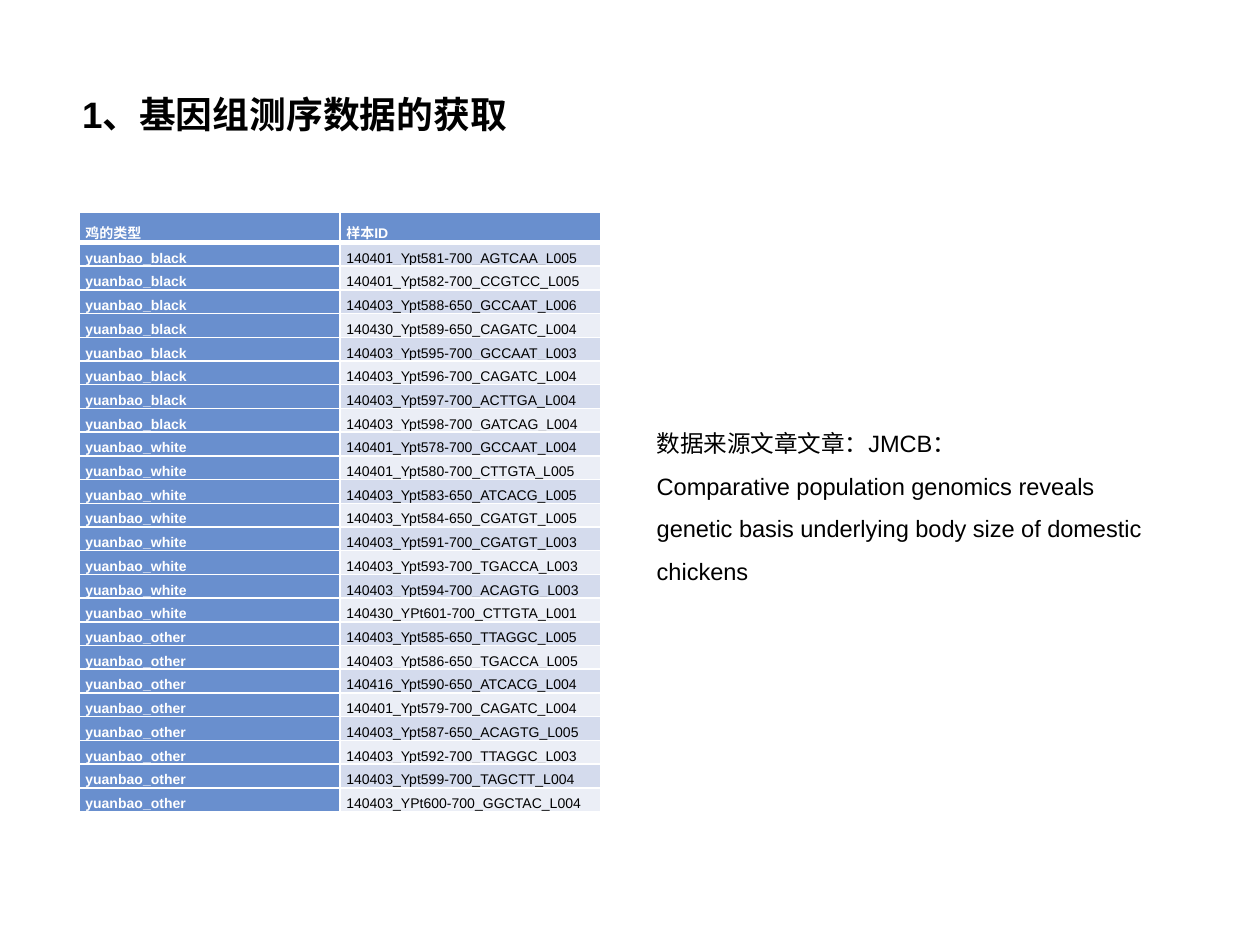
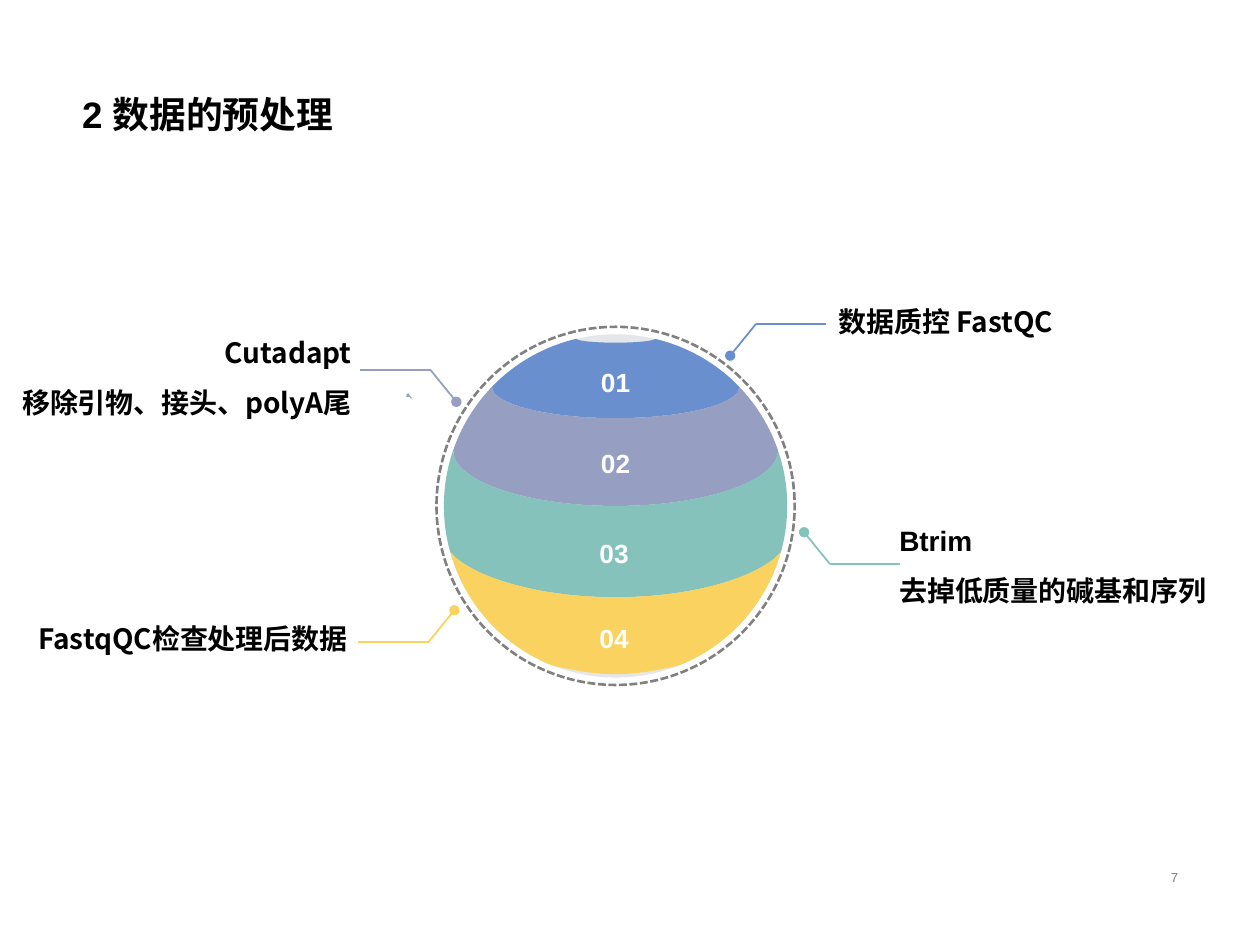
from math import asin, cos, sin, sqrt, tan

from lxml import etree
from pptx import Presentation
from pptx.dml.color import RGBColor
from pptx.enum.dml import MSO_LINE
from pptx.enum.shapes import MSO_CONNECTOR, MSO_SHAPE
from pptx.enum.text import MSO_ANCHOR, MSO_AUTO_SIZE, PP_ALIGN
from pptx.oxml.ns import qn
from pptx.util import Cm, Pt

LEFT, CENTER, RIGHT = PP_ALIGN.LEFT, PP_ALIGN.CENTER, PP_ALIGN.RIGHT
TOP, MIDDLE, BOTTOM = MSO_ANCHOR.TOP, MSO_ANCHOR.MIDDLE, MSO_ANCHOR.BOTTOM
TITLE_ONLY = 5
LATIN, CJK = "Arial", "Noto Sans CJK SC"
LABEL_INSETS = (0.18, 0.1, 0.18, 0.1)

COLORS = {
    "black": "000000",
    "white": "FFFFFF",
    "gray": "808080",
    "cap": "E4E6EA",
    "blue": "698FCE",
    "purple": "969EC2",
    "teal": "85C2BC",
    "yellow": "FAD25F",
    "band_dark": "D4DBED",
    "band_light": "EBEEF6",
}

SAMPLES = {
    "yuanbao_black": [
        "140401_Ypt581-700_AGTCAA_L005", "140401_Ypt582-700_CCGTCC_L005",
        "140403_Ypt588-650_GCCAAT_L006", "140430_Ypt589-650_CAGATC_L004",
        "140403_Ypt595-700_GCCAAT_L003", "140403_Ypt596-700_CAGATC_L004",
        "140403_Ypt597-700_ACTTGA_L004", "140403_Ypt598-700_GATCAG_L004",
    ],
    "yuanbao_white": [
        "140401_Ypt578-700_GCCAAT_L004", "140401_Ypt580-700_CTTGTA_L005",
        "140403_Ypt583-650_ATCACG_L005", "140403_Ypt584-650_CGATGT_L005",
        "140403_Ypt591-700_CGATGT_L003", "140403_Ypt593-700_TGACCA_L003",
        "140403_Ypt594-700_ACAGTG_L003", "140430_YPt601-700_CTTGTA_L001",
    ],
    "yuanbao_other": [
        "140403_Ypt585-650_TTAGGC_L005", "140403_Ypt586-650_TGACCA_L005",
        "140416_Ypt590-650_ATCACG_L004", "140401_Ypt579-700_CAGATC_L004",
        "140403_Ypt587-650_ACAGTG_L005", "140403_Ypt592-700_TTAGGC_L003",
        "140403_Ypt599-700_TAGCTT_L004", "140403_YPt600-700_GGCTAC_L004",
    ],
}

# Sphere seams: height from the centre, sag below it, reach of both handles
SEAMS = [(-3.37, 0.08, 1, 0.55), (-2.4, 0.63, 1, 0.55), (-1.12, 1.12, 1, 0.55),
         (0.93, 0.91, 0.87, 0.47), (3.21, 0.18, 0.67, 0.36)]
STEPS = ["blue", "purple", "teal", "yellow"]


def rgb(name):
    return RGBColor.from_string(COLORS[name])


def write(tf, text, size=16, color="black", bold=False, font=LATIN, align=LEFT,
          anchor=TOP, spacing=1.5, wrap=True, insets=None):
    tf.auto_size = MSO_AUTO_SIZE.NONE
    tf.word_wrap = wrap
    tf.vertical_anchor = anchor
    if insets:
        (tf.margin_left, tf.margin_top,
         tf.margin_right, tf.margin_bottom) = map(Cm, insets)
    tf.text = text
    for p in tf.paragraphs:
        p.alignment = align
        p.line_spacing = spacing
        for r in p.runs:
            r.font.size, r.font.bold, r.font.name = Pt(size), bold, font
            r.font.color.rgb = rgb(color)
            ea = etree.SubElement(r.font._element, qn("a:ea"))
            ea.set("typeface", CJK)


def add_text(s, box, text, **fmt):
    write(s.shapes.add_textbox(*map(Cm, box)).text_frame, text, **fmt)


def add_titled_slide(prs, title):
    s = prs.slides.add_slide(prs.slide_layouts[TITLE_ONLY])
    t = s.shapes.title
    t.left, t.top, t.width, t.height = map(Cm, (1.4, 0, 22.6, 2.86))
    write(t.text_frame, title, size=21, bold=True, anchor=BOTTOM)
    return s


def set_borders(cell, bottom=1):
    tcPr = cell._tc.get_or_add_tcPr()
    for i, (side, width) in enumerate(
            (("L", 1), ("R", 1), ("T", 1), ("B", bottom))):
        ln = etree.Element(qn("a:ln" + side), w=str(Pt(width)))
        fill = etree.SubElement(ln, qn("a:solidFill"))
        etree.SubElement(fill, qn("a:srgbClr"), val=COLORS["white"])
        tcPr.insert(i, ln)


def add_sample_table(s, box):
    rows = [("鸡的类型", "样本ID")]
    rows += [(kind, name) for kind, names in SAMPLES.items() for name in names]
    table = s.shapes.add_table(len(rows), 2, *map(Cm, box)).table
    for i, row in enumerate(rows):
        table.rows[i].height = Cm(box[3] / len(rows))
        for j, text in enumerate(row):
            cell = table.cell(i, j)
            strong = i == 0 or j == 0
            write(cell.text_frame, text, size=8, bold=strong,
                  color="white" if strong else "black")
            cell.vertical_anchor = MIDDLE if i else TOP
            cell.margin_left = cell.margin_right = Cm(0.13)
            cell.margin_top = cell.margin_bottom = 0
            cell.fill.solid()
            cell.fill.fore_color.rgb = rgb(
                "blue" if strong else "band_dark" if i % 2 else "band_light")
            set_borders(cell, bottom=1 if i else 3)


def paint(shape, color):
    shape.shadow.inherit = False
    shape.fill.solid()
    shape.fill.fore_color.rgb = rgb(color)
    shape.line.fill.background()


def add_outline(s, points, color, curved=False):
    """Closed outline; if curved, each three points after the first are a Bézier."""
    points = [(Cm(x), Cm(y)) for x, y in points]
    builder = s.shapes.build_freeform(*points[0])
    builder.add_line_segments(points[1:], close=True)
    shape = builder.convert_to_shape()
    paint(shape, color)
    if curved:
        lines = list(shape._element.iter(qn("a:lnTo")))
        for i in range(0, len(lines), 3):
            curve = etree.Element(qn("a:cubicBezTo"))
            lines[i].addprevious(curve)
            for line in lines[i:i + 3]:
                curve.append(line[0])
                line.getparent().remove(line)


def add_circle(s, kind, cx, cy, r):
    return s.shapes.add_shape(kind, *map(Cm, (cx - r, cy - r, 2 * r, 2 * r)))


def seam_points(cx, cy, r, seam):
    """Two Béziers along a sagging seam, from the left edge to the right."""
    y, sag, near, far = seam
    half = sqrt(r * r - y * y)
    side = [(half, 0), (near * half, 0.55 * sag), (far * half, sag)]
    return ([(cx - x, cy + y + d) for x, d in side] + [(cx, cy + y + sag)]
            + [(cx + x, cy + y + d) for x, d in reversed(side)])


def edge_points(cx, cy, r, y1, y2):
    """Béziers down the right edge of the sphere, split at the equator."""
    if y1 < 0 < y2:
        return edge_points(cx, cy, r, y1, 0) + edge_points(cx, cy, r, 0, y2)[1:]
    a, b = asin(y1 / r), asin(y2 / r)
    k = 4 / 3 * tan((b - a) / 4)
    arc = [(cos(a), sin(a)), (cos(a) - k * sin(a), sin(a) + k * cos(a)),
           (cos(b) + k * sin(b), sin(b) - k * cos(b)), (cos(b), sin(b))]
    return [(cx + r * x, cy + r * y) for x, y in arc]


def add_sphere(s, cx, cy, r):
    ring = add_circle(s, MSO_SHAPE.ARC, cx, cy, r + 0.15)
    ring.adjustments[0], ring.adjustments[1] = 1.36, 1.29
    ring.shadow.inherit = False
    ring.fill.background()
    ring.line.color.rgb = rgb("gray")
    ring.line.width = Pt(1.5)
    ring.line.dash_style = MSO_LINE.SQUARE_DOT

    paint(add_circle(s, MSO_SHAPE.OVAL, cx, cy, r), "cap")
    for color, upper, lower in zip(STEPS, SEAMS, SEAMS[1:]):
        right = edge_points(cx, cy, r, upper[0], lower[0])
        left = [(2 * cx - x, y) for x, y in reversed(right)]
        add_outline(s, seam_points(cx, cy, r, upper) + right[1:]
                    + seam_points(cx, cy, r, lower)[-2::-1] + left[1:],
                    color, curved=True)
    numbers = [(0, -2.65), (0, -1.03), (-0.03, 0.8), (-0.03, 2.5)]
    for i, (x, y) in enumerate(numbers, 1):
        add_text(s, (cx + x - 1.03, cy + y - 0.58, 2.06, 1.16), f"{i:02}", size=15,
                 color="white", bold=True, align=CENTER, anchor=MIDDLE, wrap=False)


def add_line(s, start, end, color, dot=False):
    c = s.shapes.add_connector(MSO_CONNECTOR.STRAIGHT, *map(Cm, start + end))
    c.line.color.rgb = rgb(color)
    c.line.width = Pt(1)
    if dot:
        etree.SubElement(c.line._get_or_add_ln(), qn("a:tailEnd"), type="oval")
    etree.SubElement(c._element.spPr, qn("a:effectLst"))


def add_leader(s, x, y, toward, down, color):
    """Elbow at x, y; toward and down are the signs of the way to the dot."""
    add_line(s, (x - toward * 1.42, y), (x, y), color)
    add_line(s, (x, y), (x + toward * 0.52, y + down * 0.64), color, dot=True)


def build_data_slide(prs):
    s = add_titled_slide(prs, "1、基因组测序数据的获取")
    add_sample_table(s, (1.59, 4.27, 10.52, 11.12))
    add_text(s, (12.99, 8.24, 10.52, 3.6),
             "数据来源文章文章：JMCB：\nComparative population genomics reveals "
             "genetic basis underlying body size of domestic chickens", size=13.5)


def build_preprocessing_slide(prs):
    s = add_titled_slide(prs, "2 数据的预处理")
    add_text(s, (17.93, 17.32, 6.07, 0.58), "7", size=7.5, color="gray",
             align=RIGHT, anchor=MIDDLE)
    add_outline(s, [(8.2, 7.95), (8.2, 7.98), (8.18, 8), (8.26, 8), (8.28, 8.03),
                    (8.31, 8.03), (8.23, 7.93)], "purple")
    add_sphere(s, 12.41, 10.2, 3.46)
    leaders = [(15.24, 6.53, -1, 1), (8.68, 7.46, 1, 1),
               (16.73, 11.37, -1, -1), (8.64, 12.94, 1, -1)]
    for leader, color in zip(leaders, STEPS):
        add_leader(s, *leader, color)

    label = dict(bold=True, anchor=MIDDLE, wrap=False, insets=LABEL_INSETS)
    add_text(s, (1.43, 5.94, 5.84, 3), "Cutadapt\n移除引物、接头、polyA尾",
             font=CJK, align=RIGHT, **label)
    add_text(s, (17.95, 10.13, 5.84, 2.2), "Btrim\n去掉低质量的碱基和序列", **label)
    add_text(s, (1.35, 11.97, 5.84, 1.45), "FastqQC检查处理后数据",
             font=CJK, align=RIGHT, **label)
    add_text(s, (16.66, 6.02, 6.76, 0.94), "数据质控 FastQC",
             font=CJK, bold=True, spacing=1)


def main():
    prs = Presentation()
    prs.slide_width, prs.slide_height = Cm(25.4), Cm(19.05)
    build_data_slide(prs)
    build_preprocessing_slide(prs)
    prs.save("out.pptx")


if __name__ == "__main__":
    main()
